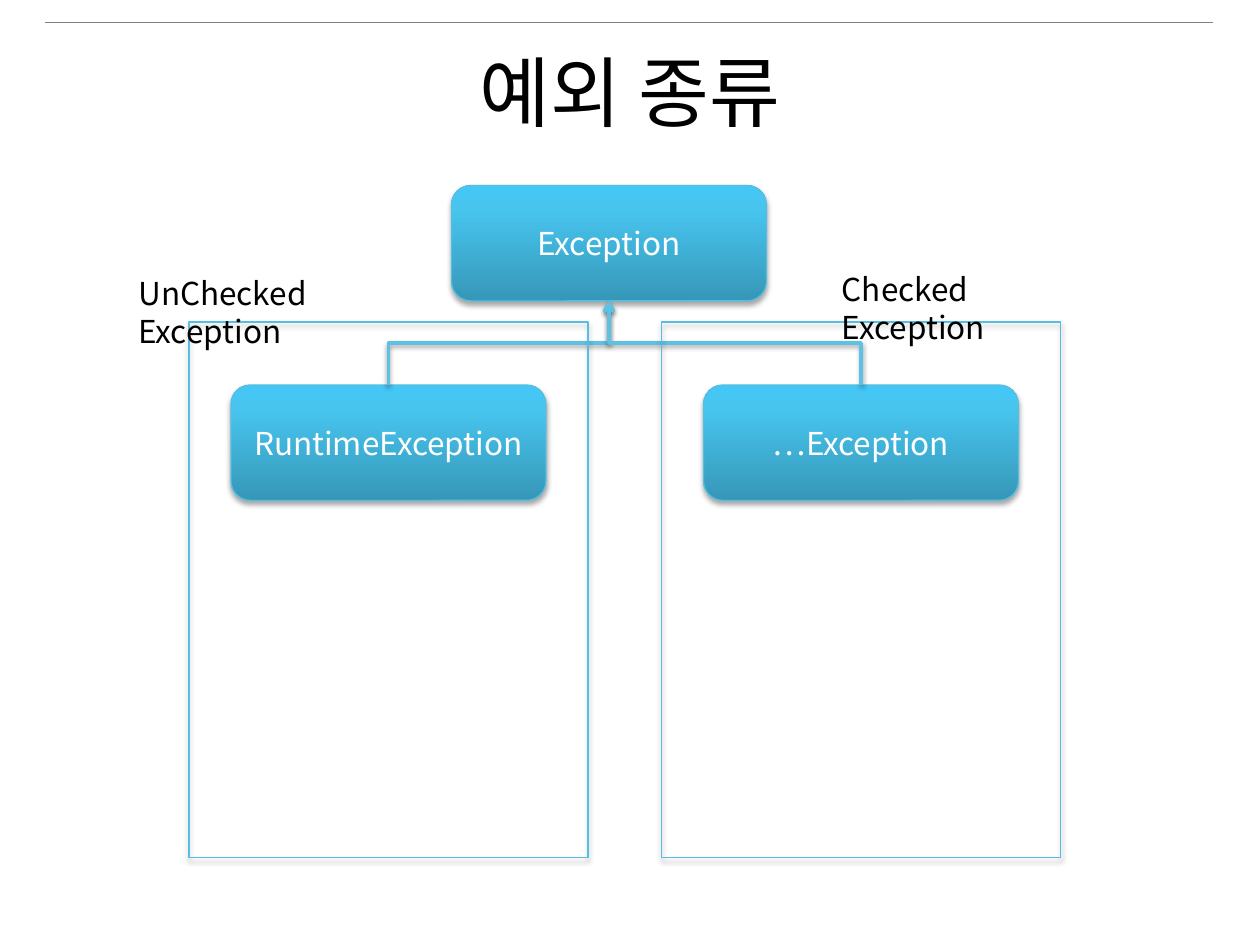
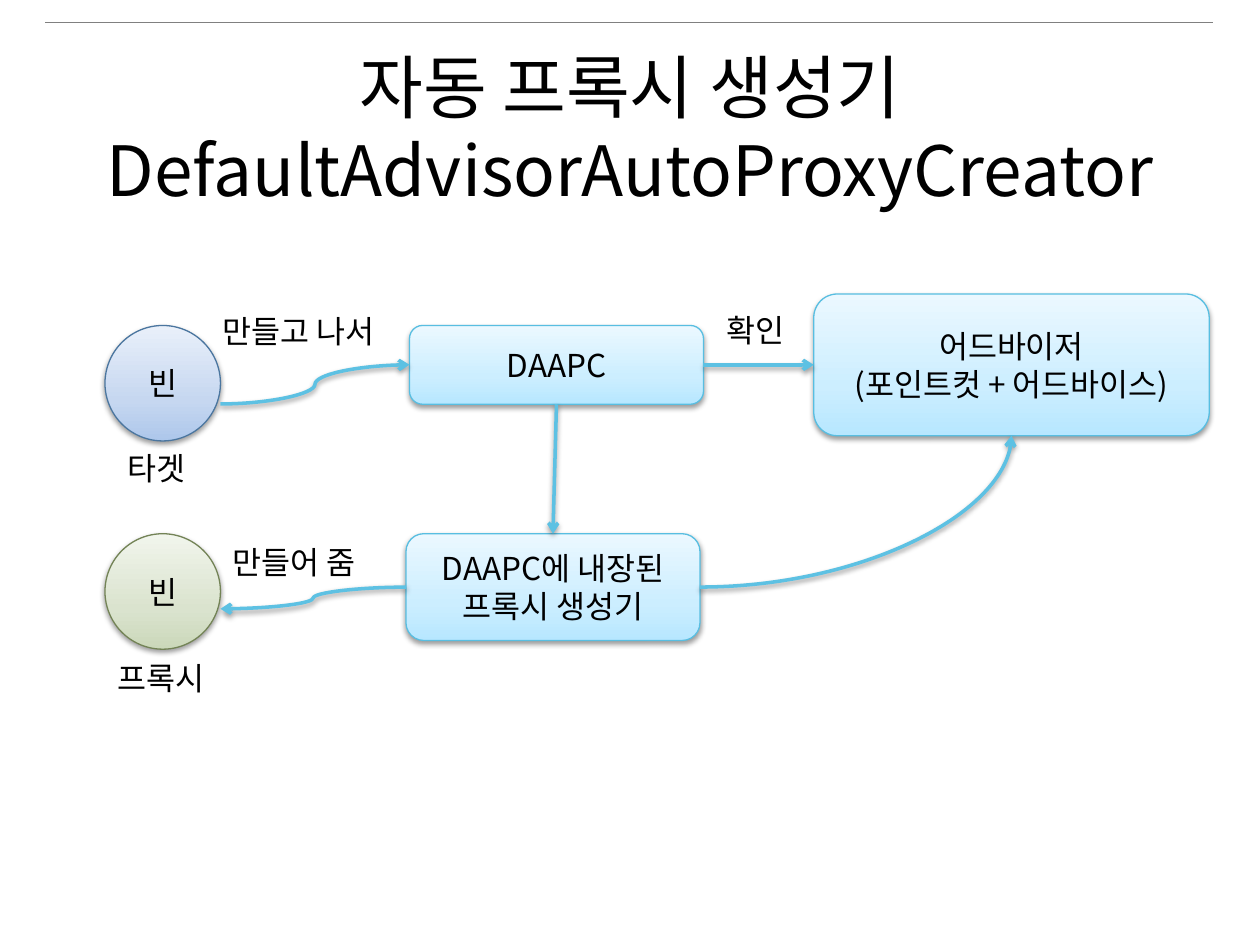
from dataclasses import dataclass
from typing import NamedTuple

from lxml.etree import SubElement
from pptx import Presentation
from pptx.dml.color import RGBColor
from pptx.enum.shapes import MSO_CONNECTOR, MSO_SHAPE
from pptx.enum.text import MSO_ANCHOR, MSO_AUTO_SIZE, PP_ALIGN
from pptx.oxml.ns import qn
from pptx.util import Pt


class Paint(NamedTuple):
    """Gradient stops from bottom to top, outline and text colour of a node."""
    stops: tuple
    outline: str
    text: str


class Box(NamedTuple):
    """A region of the slide, in points."""
    left: float
    top: float
    width: float
    height: float

    def inner(self, dx, dy, width, height):
        """Return a box placed relative to this one."""
        return Box(self.left + dx, self.top + dy, width, height)

    def at(self, across, down):
        """Return the point at the given fractions of width and height."""
        return self.left + across * self.width, self.top + down * self.height

    def lengths(self):
        """Return the four lengths for python-pptx."""
        return [Pt(length) for length in self]


@dataclass(frozen=True)
class Theme:
    """Colours, fonts and type sizes of the deck."""
    font: str = "Noto Sans CJK KR"
    ink: str = "000000"
    rule: str = "808080"
    arrow: str = "5DC1E3"
    outline: str = "58BEE1"
    title_size: float = 44
    long_title_size: float = 39.6
    body_size: float = 18
    deep: Paint = Paint(((0, "3697B8"), (80, "47C5EF"), (100, "44C7F4")), "58BEE1", "FFFFFF")
    sky: Paint = Paint(((0, "B7E7FF"), (35, "CCEEFF"), (100, "EBF8FF")), "58BEE1", "000000")
    blue: Paint = Paint(((0, "ADC7EB"), (35, "C6D7F0"), (100, "E9F0FA")), "4B769F", "000000")
    green: Paint = Paint(((0, "CBD8BA"), (35, "DAE3CE"), (100, "F1F5EC")), "738356", "000000")


THEME = Theme()
TITLE = Box(36, 21.6, 648, 90)
BODY = Box(0, 0, 720, 540)


def add_color(parent, color, alpha=None):
    """Add an RGB colour element, with an opacity in percent if given."""
    rgb = SubElement(parent, qn("a:srgbClr"), val=color)
    if alpha is not None:
        SubElement(rgb, qn("a:alpha"), val=str(alpha * 1000))


def set_shadow(shape, alpha=38, distance=1.6):
    """Give a shape or connector a soft shadow that falls straight down."""
    effects = SubElement(shape.element.spPr, qn("a:effectLst"))
    shadow = SubElement(effects, qn("a:outerShdw"), blurRad=str(Pt(3.1)),
                        dist=str(Pt(distance)), dir="5400000", rotWithShape="0")
    add_color(shadow, THEME.ink, alpha)


def set_gradient(shape, stops):
    """Fill a shape with a vertical gradient that starts at the bottom."""
    shape.fill.gradient()
    shape.fill.gradient_angle = 90
    stop_list = shape.element.spPr.find(qn("a:gradFill")).find(qn("a:gsLst"))
    for stop in list(stop_list):
        stop_list.remove(stop)
    for position, color in stops:
        add_color(SubElement(stop_list, qn("a:gs"), pos=str(position * 1000)), color)


def set_line(shape, color, width):
    """Set the colour and width of a line or outline."""
    shape.line.color.rgb = RGBColor.from_string(color)
    shape.line.width = Pt(width)


def write(frame, text, size, color, align):
    """Write text into a frame and format all of its runs."""
    frame.text = text
    for paragraph in frame.paragraphs:
        paragraph.alignment = align
        for run in paragraph.runs:
            run.font.size = Pt(size)
            run.font.name = THEME.font
            run.font.color.rgb = RGBColor.from_string(color)
            SubElement(run.font._element, qn("a:ea"), typeface=THEME.font)


def add_node(slide, box, text, paint, kind=MSO_SHAPE.ROUNDED_RECTANGLE, alpha=38, distance=1.6):
    """Draw a gradient node with centred text."""
    node = slide.shapes.add_shape(kind, *box.lengths())
    set_gradient(node, paint.stops)
    set_line(node, paint.outline, 0.75)
    set_shadow(node, alpha, distance)
    node.text_frame.vertical_anchor = MSO_ANCHOR.MIDDLE
    write(node.text_frame, text, THEME.body_size, paint.text, PP_ALIGN.CENTER)


def add_label(slide, box, text, wrap=False):
    """Write a free label."""
    frame = slide.shapes.add_textbox(*box.lengths()).text_frame
    write(frame, text, THEME.body_size, THEME.ink, PP_ALIGN.LEFT)
    frame.word_wrap = wrap
    frame.auto_size = MSO_AUTO_SIZE.SHAPE_TO_FIT_TEXT


def add_arrow(slide, start, end, kind=MSO_CONNECTOR.STRAIGHT):
    """Draw an arrow from start to end."""
    arrow = slide.shapes.add_connector(kind, *[Pt(length) for length in (*start, *end)])
    set_line(arrow, THEME.arrow, 2)
    SubElement(arrow.line._get_or_add_ln(), qn("a:tailEnd"), type="arrow")
    set_shadow(arrow)
    return arrow


def add_rising_elbow(slide, start, end):
    """Draw an elbow arrow that leaves and arrives upwards: a level one turned by 270 degrees."""
    middle_x, middle_y = (start[0] + end[0]) / 2, (start[1] + end[1]) / 2
    half_rise = (start[1] - end[1]) / 2
    elbow = add_arrow(slide, (middle_x - half_rise, middle_y + start[0] - middle_x),
                      (middle_x + half_rise, middle_y + end[0] - middle_x), MSO_CONNECTOR.ELBOW)
    elbow.element.spPr.find(qn("a:xfrm")).set("rot", str(270 * 60000))


def add_layout_rule(layout, slide):
    """Put the hairline above the title on the shared layout."""
    rule = slide.shapes.add_connector(MSO_CONNECTOR.STRAIGHT, Pt(26), Pt(13), Pt(693), Pt(13))
    set_line(rule, THEME.rule, 0.25)
    SubElement(rule.element.spPr, qn("a:effectLst"))
    layout.shapes.element.append(rule.element)


def add_titled_slide(deck, layout, text, size):
    """Add a slide and format its title."""
    slide = deck.slides.add_slide(layout)
    title = slide.shapes.title
    title.left, title.top, title.width, title.height = TITLE.lengths()
    frame = title.text_frame
    frame.auto_size = MSO_AUTO_SIZE.NONE
    frame.vertical_anchor = MSO_ANCHOR.TOP
    write(frame, text, size, THEME.ink, PP_ALIGN.CENTER)
    return slide


def add_panel(slide, box):
    """Draw the open frame around one family of exceptions."""
    panel = slide.shapes.add_shape(MSO_SHAPE.RECTANGLE, *box.lengths())
    panel.fill.background()
    set_line(panel, THEME.outline, 0.75)
    set_shadow(panel, 35, 1.8)


def draw_exception_tree(slide, box):
    """Draw the root exception with its unchecked and checked families."""
    root = box.inner(258, 106, 180, 66)
    unchecked, checked = [box.inner(108 + 270 * column, 184, 228, 306) for column in range(2)]
    children = [panel.inner(24, 36, 180, 66) for panel in (unchecked, checked)]
    for node, name in zip((root, *children), ("Exception", "RuntimeException", "…Exception")):
        add_node(slide, node, name, THEME.deep, alpha=35, distance=1.8)
    for child in children:
        add_rising_elbow(slide, child.at(0.5, 0), root.at(0.5, 1))
    for panel in (unchecked, checked):
        add_panel(slide, panel)
    add_label(slide, unchecked.inner(-36, -31, 174, 29), "UnChecked Exception", wrap=True)
    add_label(slide, checked.inner(96, -33, 153, 29), "Checked Exception", wrap=True)


def draw_proxy_flow(slide, box):
    """Draw how the proxy creator turns a target bean into a proxy."""
    target = box.inner(60, 186, 66, 66)
    proxy = box.inner(60, 305, 66, 66)
    creator = box.inner(234, 186, 168, 45)
    builder = box.inner(232, 305, 168, 61)
    advisor = box.inner(465, 168, 226, 81)

    add_node(slide, target, "빈", THEME.blue, MSO_SHAPE.OVAL)
    add_node(slide, proxy, "빈", THEME.green, MSO_SHAPE.OVAL)
    add_node(slide, creator, "DAAPC", THEME.sky)
    add_node(slide, builder, "DAAPC에 내장된\n프록시 생성기", THEME.sky)
    add_node(slide, advisor, "어드바이저\n(포인트컷 + 어드바이스)", THEME.sky)

    add_arrow(slide, creator.at(1, 0.5), advisor.at(0, 0.5))
    add_arrow(slide, creator.at(0.5, 1), builder.at(0.5, 0))
    add_arrow(slide, target.at(1, 0.68), creator.at(0, 0.5), MSO_CONNECTOR.CURVE)
    add_arrow(slide, builder.at(0, 0.5), proxy.at(1, 0.65), MSO_CONNECTOR.CURVE)
    lookup = add_arrow(slide, builder.at(1, 0.5), advisor.at(0.5, 1), MSO_CONNECTOR.CURVE)
    lookup.element.spPr.find(qn("a:prstGeom")).set("prst", "curvedConnector2")

    add_label(slide, target.inner(60, -11, 112, 29), "만들고 나서")
    add_label(slide, target.inner(6, 67, 51, 29), "타겟")
    add_label(slide, proxy.inner(66, 2, 94, 29), "만들어 줌")
    add_label(slide, proxy.inner(0, 68, 69, 29), "프록시")
    add_label(slide, creator.inner(174, -12, 51, 29), "확인")


def main():
    """Build the deck."""
    deck = Presentation()
    deck.slide_width, deck.slide_height = Pt(BODY.width), Pt(BODY.height)
    layout = deck.slide_layouts.get_by_name("Title Only")

    exceptions = add_titled_slide(deck, layout, "예외 종류", THEME.title_size)
    add_layout_rule(layout, exceptions)
    draw_exception_tree(exceptions, BODY)

    proxies = add_titled_slide(deck, layout, "자동 프록시 생성기\vDefaultAdvisorAutoProxyCreator",
                               THEME.long_title_size)
    draw_proxy_flow(proxies, BODY)

    deck.save("out.pptx")


main()
